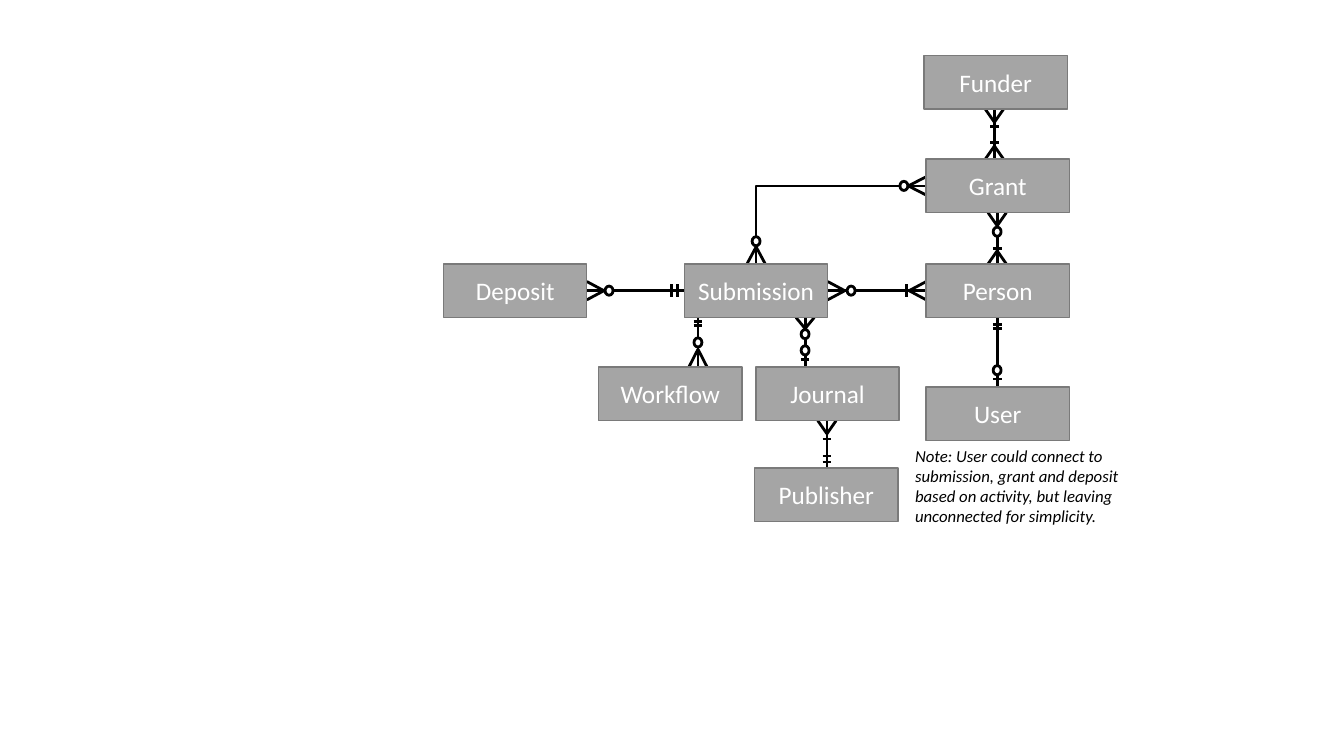
from dataclasses import dataclass

from lxml import etree
from pptx import Presentation
from pptx.dml.color import RGBColor
from pptx.enum.shapes import MSO_CONNECTOR, MSO_SHAPE
from pptx.enum.text import MSO_ANCHOR, PP_ALIGN
from pptx.oxml.ns import qn
from pptx.util import Cm, Pt

STRAIGHT, ELBOW = MSO_CONNECTOR.STRAIGHT, MSO_CONNECTOR.ELBOW
RECTANGLE, OVAL = MSO_SHAPE.RECTANGLE, MSO_SHAPE.OVAL
MIDDLE, CENTER = MSO_ANCHOR.MIDDLE, PP_ALIGN.CENTER


@dataclass(frozen=True)
class Theme:
    font: str = "Calibri"
    ink: RGBColor = RGBColor(0, 0, 0)
    paper: RGBColor = RGBColor(255, 255, 255)
    entity_fill: RGBColor = RGBColor(0xA5, 0xA5, 0xA5)
    entity_line: RGBColor = RGBColor(0x7A, 0x7A, 0x7A)
    entity_size: float = 18
    note_size: float = 12
    link_width: float = 2
    border_width: float = 1


@dataclass(frozen=True)
class Box:
    left: float
    top: float
    width: float
    height: float

    @property
    def right(self):
        return self.left + self.width

    @property
    def bottom(self):
        return self.top + self.height

    @property
    def center(self):
        return self.left + self.width / 2, self.top + self.height / 2

    def lengths(self):
        return [Cm(value) for value in (self.left, self.top, self.width, self.height)]


THEME = Theme()
DIAGRAM = Box(11.18, 1.4, 15.77, 11.74)
NOTE = Box(22.81, 11.1, 5.64, 2.31)

# Sizes in centimetres
ENTITY_WIDTH, ENTITY_HEIGHT = 3.61, 1.35
FOOT_SPREAD = 0.23
RING_WIDTH, RING_HEIGHT = 0.2, 0.23
BAR_SHORT, BAR_LONG = 0.11, 0.16

# Entities: offset of the left top corner from the diagram's corner
ENTITIES = {
    "Person": (12.16, 5.25),
    "Deposit": (0, 5.25),
    "Grant": (12.16, 2.61),
    "Funder": (12.11, 0),
    "Submission": (6.07, 5.25),
    "User": (12.16, 8.35),
    "Journal": (7.87, 7.85),
    "Publisher": (7.84, 10.39),
    "Workflow": (3.91, 7.85),
}

# Marks of an end: kind and distance from the entity's edge
# Vertical links: upper entity, lower entity, x offset, upper marks, lower marks
VERTICAL_LINKS = [
    ("Funder", "Grant", 13.88, [("foot", 0.33), ("bar", 0.43)], [("foot", 0.33), ("bar", 0.42)]),
    ("Grant", "Person", 13.95, [("foot", 0.33), ("ring", 0.48)], [("foot", 0.33), ("bar", 0.38)]),
    ("Person", "User", 13.95, [("bar", 0.18), ("bar", 0.28)], [("bar", 0.2), ("ring", 0.42)]),
    ("Submission", "Workflow", 6.41, [("bar", 0.1), ("bar", 0.2)], [("foot", 0.45), ("ring", 0.62)]),
    ("Submission", "Journal", 9.11, [("foot", 0.28), ("ring", 0.42)], [("bar", 0.2), ("ring", 0.42)]),
    ("Journal", "Publisher", 9.66, [("foot", 0.33), ("bar", 0.46)], [("bar", 0.15), ("bar", 0.3)]),
]

# Horizontal links: left entity, right entity, left marks, right marks
HORIZONTAL_LINKS = [
    ("Deposit", "Submission", [("foot", 0.43), ("ring", 0.56)], [("bar", 0.18), ("bar", 0.33)]),
    ("Submission", "Person", [("foot", 0.43), ("ring", 0.59)], [("foot", 0.43), ("bar", 0.5)]),
]
GRANT_MARKS = [("foot", 0.45), ("ring", 0.56)]
SUBMISSION_MARKS = [("foot", 0.43), ("ring", 0.57)]


def set_format(target, values):
    for name, value in values.items():
        setattr(target, name, value)


def add_line(slide, start, end, kind=STRAIGHT):
    connector = slide.shapes.add_connector(kind, *[Cm(value) for value in (*start, *end)])
    connector.line.color.rgb = THEME.ink
    connector.line.width = Pt(THEME.link_width)
    etree.SubElement(connector.element.spPr, qn("a:effectLst"))
    return connector


def add_shape(slide, kind, box, fill, line, width):
    shape = slide.shapes.add_shape(kind, *box.lengths())
    shape.shadow.inherit = False
    shape.fill.solid()
    shape.fill.fore_color.rgb = fill
    shape.line.color.rgb = line
    shape.line.width = Pt(width)
    return shape


def add_text(shape, text, size, color, frame_format, italic=False, alignment=None):
    set_format(shape.text_frame, frame_format)
    paragraph = shape.text_frame.paragraphs[0]
    paragraph.alignment = alignment
    run = paragraph.add_run()
    run.text = text
    set_format(run.font, {"name": THEME.font, "size": Pt(size), "italic": italic})
    run.font.color.rgb = color


def add_marks(slide, edge, direction, marks):
    """Draw the marks outwards from an entity's edge."""
    x, y = edge
    step_x, step_y = direction
    bar_half = BAR_LONG if step_x else BAR_SHORT
    for kind, distance in marks:
        center_x, center_y = x + step_x * distance, y + step_y * distance
        if kind == "ring":
            ring = Box(center_x - RING_WIDTH / 2, center_y - RING_HEIGHT / 2, RING_WIDTH, RING_HEIGHT)
            add_shape(slide, OVAL, ring, THEME.paper, THEME.ink, THEME.link_width)
        elif kind == "foot":
            for side in (-FOOT_SPREAD, FOOT_SPREAD):
                add_line(slide, (center_x, center_y), (x + step_y * side, y + step_x * side))
        else:
            across_x, across_y = abs(step_y) * bar_half, abs(step_x) * bar_half
            add_line(slide, (center_x - across_x, center_y - across_y),
                     (center_x + across_x, center_y + across_y))


def add_diagram(slide, area):
    entities = {
        name: Box(area.left + x, area.top + y, ENTITY_WIDTH, ENTITY_HEIGHT)
        for name, (x, y) in ENTITIES.items()
    }

    # Vertical links
    for upper, lower, offset, upper_marks, lower_marks in VERTICAL_LINKS:
        x = area.left + offset
        start, end = (x, entities[upper].bottom), (x, entities[lower].top)
        add_line(slide, start, end)
        add_marks(slide, start, (0, 1), upper_marks)
        add_marks(slide, end, (0, -1), lower_marks)

    # Horizontal links
    for left, right, left_marks, right_marks in HORIZONTAL_LINKS:
        y = entities[left].center[1]
        start, end = (entities[left].right, y), (entities[right].left, y)
        add_line(slide, start, end)
        add_marks(slide, start, (1, 0), left_marks)
        add_marks(slide, end, (-1, 0), right_marks)

    # Cornered link from Grant to Submission
    grant, submission = entities["Grant"], entities["Submission"]
    start, end = (grant.left, grant.center[1]), (submission.center[0], submission.top)
    corner = add_line(slide, start, end, ELBOW)
    corner.element.spPr.find(qn("a:prstGeom")).set("prst", "bentConnector2")
    add_marks(slide, start, (-1, 0), GRANT_MARKS)
    add_marks(slide, end, (0, -1), SUBMISSION_MARKS)

    # Entities cover the ends of the links
    for name, box in entities.items():
        shape = add_shape(slide, RECTANGLE, box, THEME.entity_fill, THEME.entity_line, THEME.border_width)
        add_text(shape, name, THEME.entity_size, THEME.paper,
                 {"vertical_anchor": MIDDLE, "word_wrap": True}, alignment=CENTER)


def add_note(slide, area):
    text_box = slide.shapes.add_textbox(*area.lengths())
    add_text(text_box, "Note: User could connect to submission, grant and deposit based on "
             "activity, but leaving unconnected for simplicity.",
             THEME.note_size, THEME.ink, {"word_wrap": True}, italic=True)


def main():
    presentation = Presentation()
    set_format(presentation, {"slide_width": Cm(33.87), "slide_height": Cm(19.05)})
    slide = presentation.slides.add_slide(presentation.slide_layouts[6])
    add_diagram(slide, DIAGRAM)
    add_note(slide, NOTE)
    presentation.save("out.pptx")


if __name__ == "__main__":
    main()
